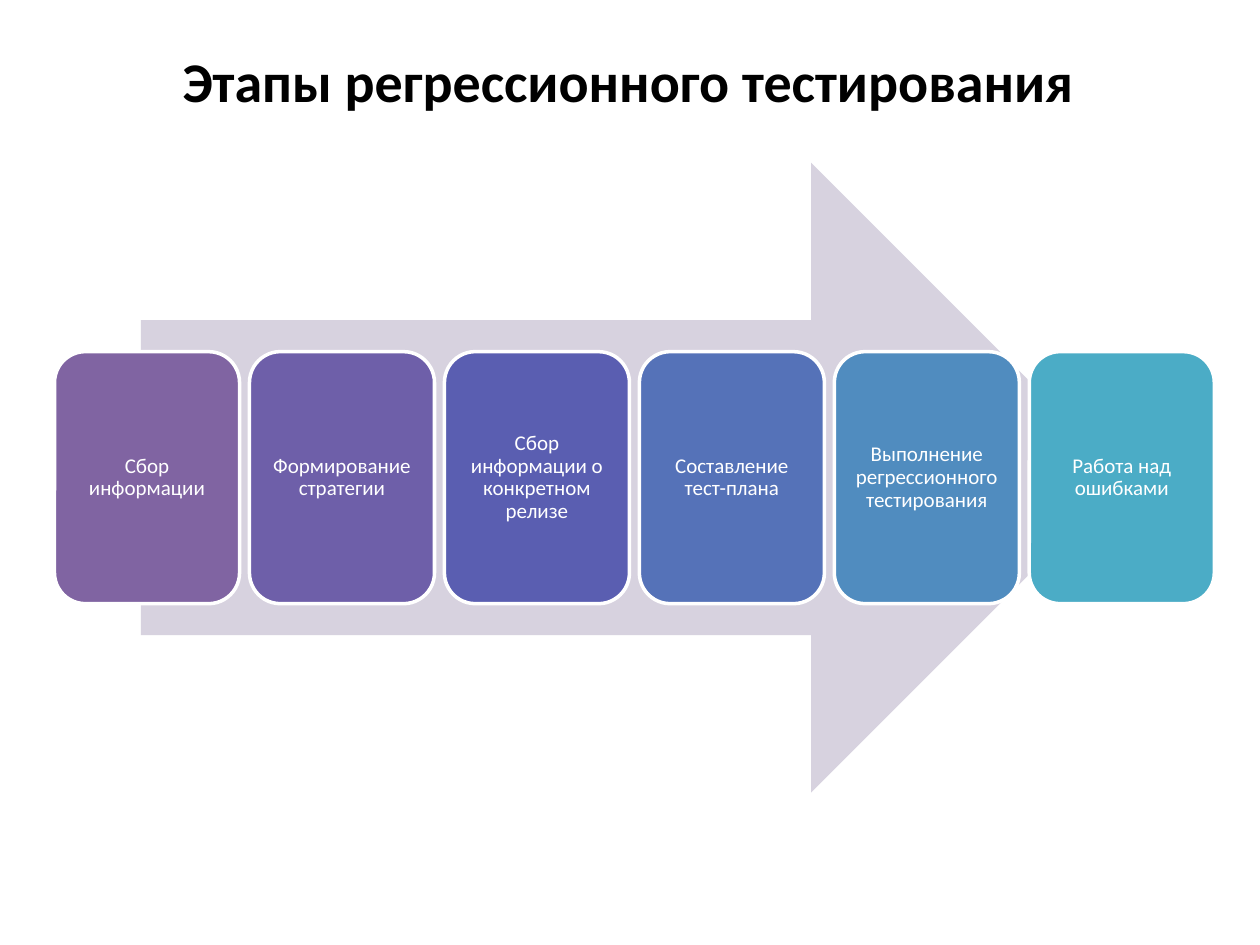
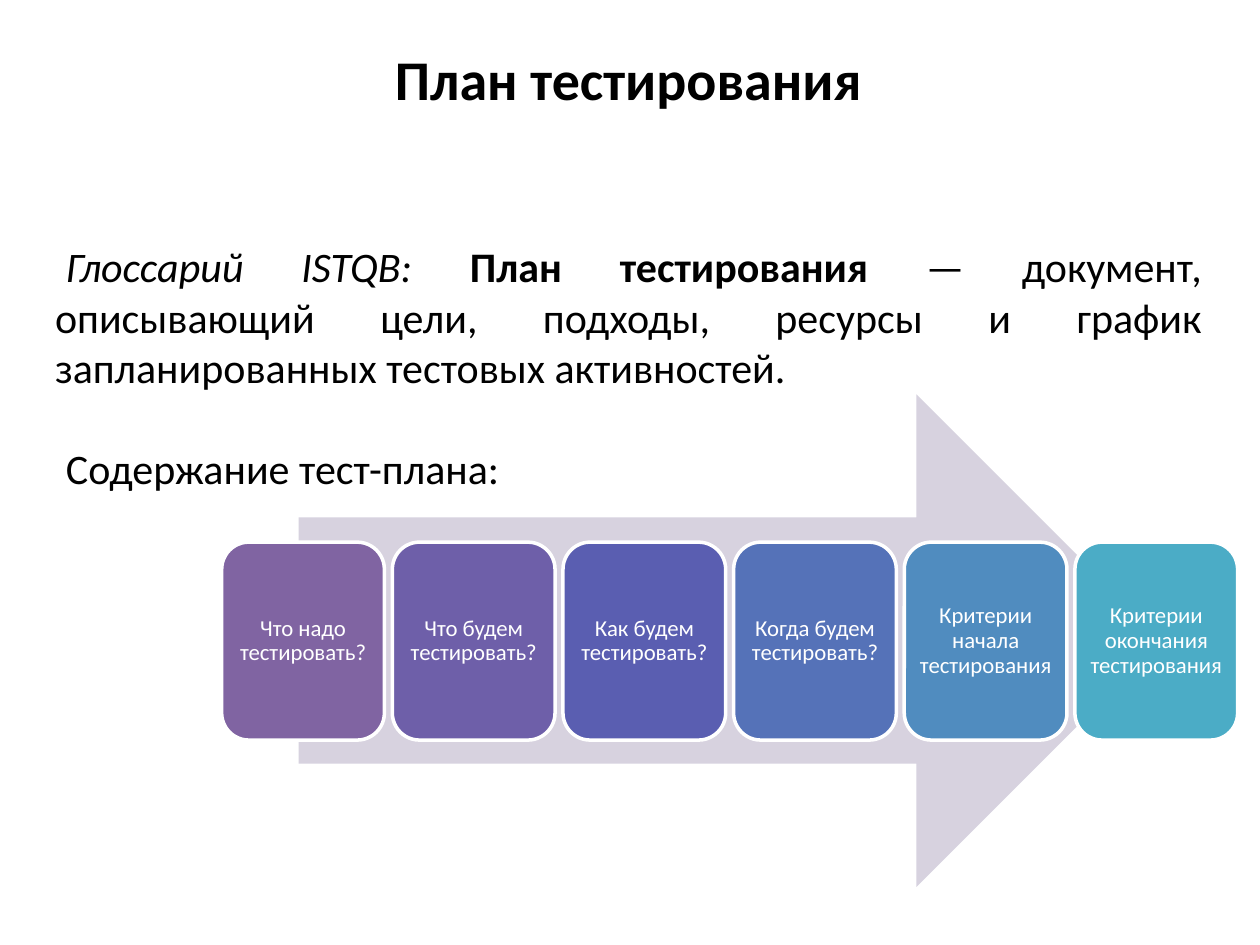
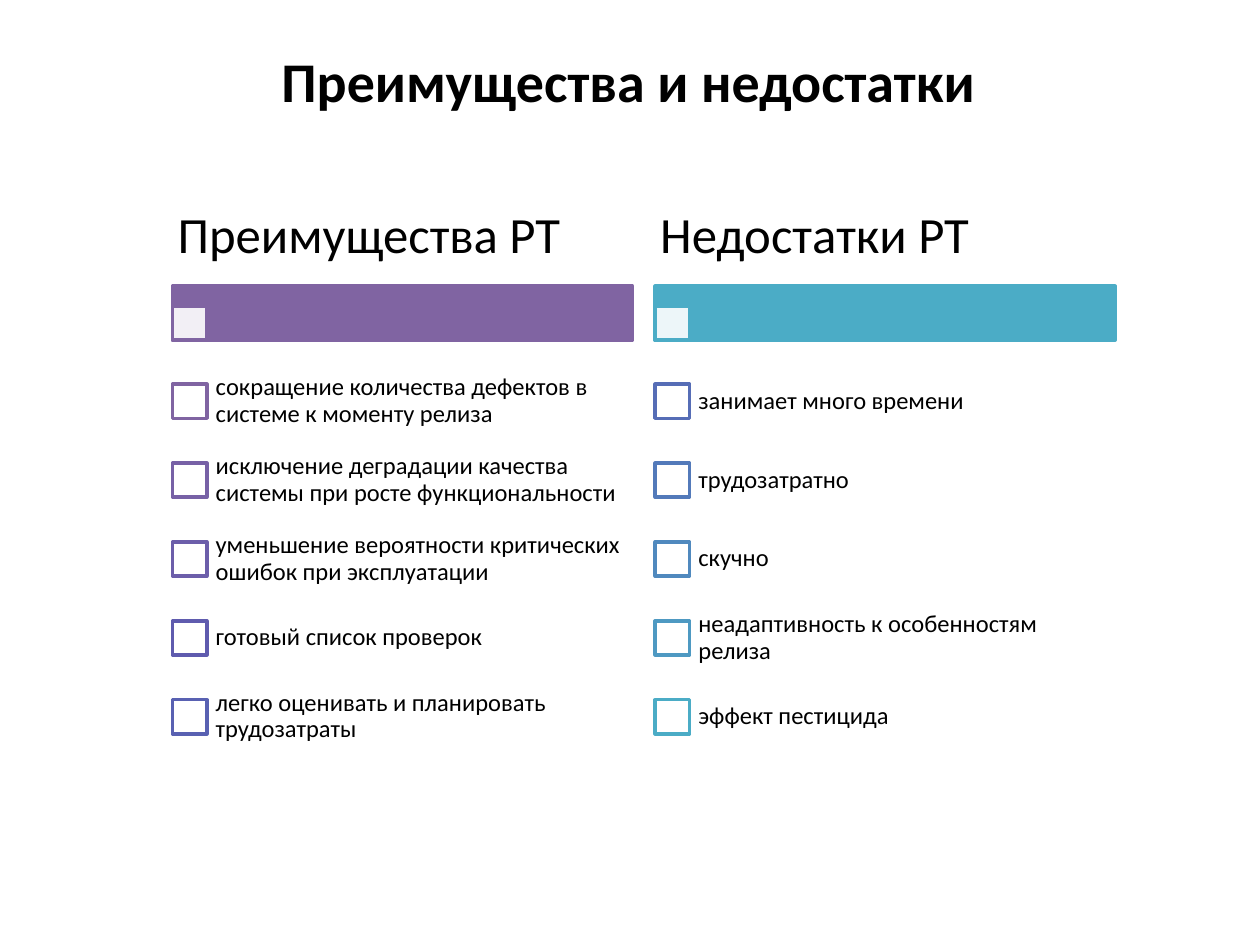
import pptx
import pptx.dml.color
import pptx.enum.shapes
import pptx.enum.text
import pptx.oxml
import pptx.oxml.ns
import pptx.util

Cm = pptx.util.Cm
Pt = pptx.util.Pt
RGBColor = pptx.dml.color.RGBColor
SHAPE = pptx.enum.shapes.MSO_SHAPE
ALIGN = pptx.enum.text.PP_ALIGN
ANCHOR = pptx.enum.text.MSO_ANCHOR
AUTO_SIZE = pptx.enum.text.MSO_AUTO_SIZE

FONT = "Calibri"
BLACK = RGBColor(0x00, 0x00, 0x00)
WHITE = RGBColor(0xFF, 0xFF, 0xFF)
PALE_ARROW = RGBColor(0xD7, 0xD2, 0xDF)
PURPLE = RGBColor(0x80, 0x64, 0xA2)
TEAL = RGBColor(0x4B, 0xAC, 0xC6)
STEP_COLORS = [PURPLE, RGBColor(0x6E, 0x5F, 0xA9), RGBColor(0x5A, 0x5E, 0xB1),
               RGBColor(0x55, 0x72, 0xB8), RGBColor(0x50, 0x8C, 0xBF), TEAL]
PRO_COLORS = [PURPLE, RGBColor(0x77, 0x61, 0xA6), RGBColor(0x6C, 0x5E, 0xAA),
              RGBColor(0x5F, 0x5B, 0xAE), RGBColor(0x59, 0x61, 0xB2)]
CON_COLORS = [RGBColor(0x56, 0x6D, 0xB6), RGBColor(0x53, 0x7A, 0xBA),
              RGBColor(0x50, 0x89, 0xBE), RGBColor(0x4E, 0x99, 0xC2), TEAL]

TITLE_AND_BODY, TITLE_ONLY = 1, 5

STAGES = ["Сбор информации", "Формирование стратегии",
          "Сбор информации о конкретном релизе", "Составление тест-плана",
          "Выполнение регрессионного тестирования", "Работа над ошибками"]
PLAN_QUESTIONS = ["Что надо тестировать?", "Что будем тестировать?",
                  "Как будем тестировать?", "Когда будем тестировать?",
                  "Критерии начала тестирования",
                  "Критерии окончания тестирования"]
PROS = ["сокращение количества дефектов в системе к моменту релиза",
        "исключение деградации качества системы при росте функциональности",
        "уменьшение вероятности критических ошибок при эксплуатации",
        "готовый список проверок",
        "легко оценивать и планировать трудозатраты"]
CONS = ["занимает много времени", "трудозатратно", "скучно",
        "неадаптивность к особенностям релиза", "эффект пестицида"]


def place(sp, left, top, width, height):
    sp.left, sp.top = Cm(left), Cm(top)
    sp.width, sp.height = Cm(width), Cm(height)


def set_frame(tf, inset_x, inset_y, anchor):
    tf.word_wrap = True
    tf.auto_size = AUTO_SIZE.NONE
    tf.vertical_anchor = anchor
    tf.margin_left = tf.margin_right = Cm(inset_x)
    tf.margin_top = tf.margin_bottom = Cm(inset_y)


def format_runs(p, size, color, bold=False):
    for r in p.runs:
        r.font.name = FONT
        r.font.size = Pt(size)
        r.font.color.rgb = color
        r.font.bold = bold


def write(tf, text, size, color, align, line_spacing=0.9, bold=False):
    tf.text = text
    p = tf.paragraphs[0]
    p.alignment = align
    p.line_spacing = line_spacing
    format_runs(p, size, color, bold)


def add_titled_slide(prs, layout, title, top=0.81):
    s = prs.slides.add_slide(prs.slide_layouts[layout])
    sp = s.shapes.title
    place(sp, 0.86, top, 23.62, 1.55)
    set_frame(sp.text_frame, 0.13, 0.13, ANCHOR.TOP)
    write(sp.text_frame, title, 32, BLACK, ALIGN.CENTER, 1.0, bold=True)
    return s


def add_figure(s, kind, left, top, width, height, fill, line=None):
    """Add a flat preset shape, outlined only if a line colour is given."""
    sp = s.shapes.add_shape(kind, Cm(left), Cm(top), Cm(width), Cm(height))
    sp.shadow.inherit = False
    sp.fill.solid()
    sp.fill.fore_color.rgb = fill
    if line is None:
        sp.line.fill.background()
    else:
        sp.line.color.rgb = line
        sp.line.width = Pt(2)
    return sp


def set_opacity(sp, percent):
    color = sp.fill._xPr.find(".//" + pptx.oxml.ns.qn("a:srgbClr"))
    alpha = pptx.oxml.parse_xml(
        f'<a:alpha {pptx.oxml.ns.nsdecls("a")} val="{percent * 1000}"/>')
    color.append(alpha)


def add_label(s, left, top, width, height, text, size, inset_x):
    sp = s.shapes.add_textbox(Cm(left), Cm(top), Cm(width), Cm(height))
    set_frame(sp.text_frame, inset_x, 0, ANCHOR.MIDDLE)
    write(sp.text_frame, text, size, BLACK, ALIGN.LEFT)


def add_process(s, steps, arrow, first_card, pitch, size):
    """Lay a row of coloured step cards over a wide arrow."""
    add_figure(s, SHAPE.RIGHT_ARROW, *arrow, PALE_ARROW)
    left, top, width, height = first_card
    for i, (step, color) in enumerate(zip(steps, STEP_COLORS)):
        card = add_figure(s, SHAPE.ROUNDED_RECTANGLE, left + i * pitch, top,
                          width, height, color, WHITE)
        set_frame(card.text_frame, 0.1, 0.1, ANCHOR.MIDDLE)
        write(card.text_frame, step, size, WHITE, ALIGN.CENTER)


def add_definition(s):
    sp = s.placeholders[1]
    place(sp, 0.86, 4.6, 23.62, 5.64)
    tf = sp.text_frame
    set_frame(tf, 0.25, 0.25, ANCHOR.TOP)
    definition, contents = tf.paragraphs[0], tf.add_paragraph()
    for text in ("Глоссарий ISTQB: ", "План тестирования ",
                 "— документ, описывающий цели, подходы, ресурсы и график "
                 "запланированных тестовых активностей."):
        definition.add_run().text = text
    contents.text = "Содержание тест-плана:"
    for p, align, before in ((definition, ALIGN.JUSTIFY, 0),
                             (contents, ALIGN.LEFT, 29)):
        pPr = p._p.get_or_add_pPr()
        pPr.set("marL", "0")
        pPr.set("indent", str(Cm(0.22)))
        pPr.append(pptx.oxml.parse_xml(
            f'<a:buNone {pptx.oxml.ns.nsdecls("a")}/>'))
        p.alignment = align
        p.space_before = Pt(before)
        format_runs(p, 24, BLACK)
    source, term, _ = definition.runs
    source.font.italic = True
    term.font.bold = True


def add_checklist(s, left, heading, bar_color, items, marker_colors):
    width, marker, pitch, first_center, indent = 9.27, 0.69, 1.59, 8.09, 0.64
    add_figure(s, SHAPE.RECTANGLE, left, 5.77, width, 1.09,
               bar_color, bar_color)
    tab = add_figure(s, SHAPE.RECTANGLE, left, 6.17, marker, marker,
                     WHITE, bar_color)
    set_opacity(tab, 90)
    add_label(s, left, 4.11, width, 1.32, heading, 29, 0.1)
    for i, (item, color) in enumerate(zip(items, marker_colors)):
        center = first_center + i * pitch
        add_figure(s, SHAPE.RECTANGLE, left, center - marker / 2,
                   marker, marker, WHITE, color)
        add_label(s, left + indent, center - pitch / 2, width - indent, pitch,
                  item, 14, 0.23)


def main():
    prs = pptx.Presentation()
    prs.slide_width, prs.slide_height = Cm(25.4), Cm(19.05)

    s = add_titled_slide(prs, TITLE_ONLY, "Этапы регрессионного тестирования")
    add_process(s, STAGES, arrow=(2.84, 3.28, 19.86, 12.7),
                first_card=(1.1, 7.09, 3.73, 5.08), pitch=3.93, size=12)

    s = add_titled_slide(prs, TITLE_AND_BODY, "План тестирования", top=0.76)
    add_definition(s)
    add_process(s, PLAN_QUESTIONS, arrow=(6.02, 7.95, 17.42, 9.93),
                first_card=(4.47, 10.93, 3.28, 3.99), pitch=3.44, size=13)

    s = add_titled_slide(prs, TITLE_ONLY, "Преимущества и недостатки")
    add_checklist(s, 3.48, "Преимущества РТ", PURPLE, PROS, PRO_COLORS)
    add_checklist(s, 13.21, "Недостатки РТ", TEAL, CONS, CON_COLORS)

    prs.save("out.pptx")


if __name__ == "__main__":
    main()
